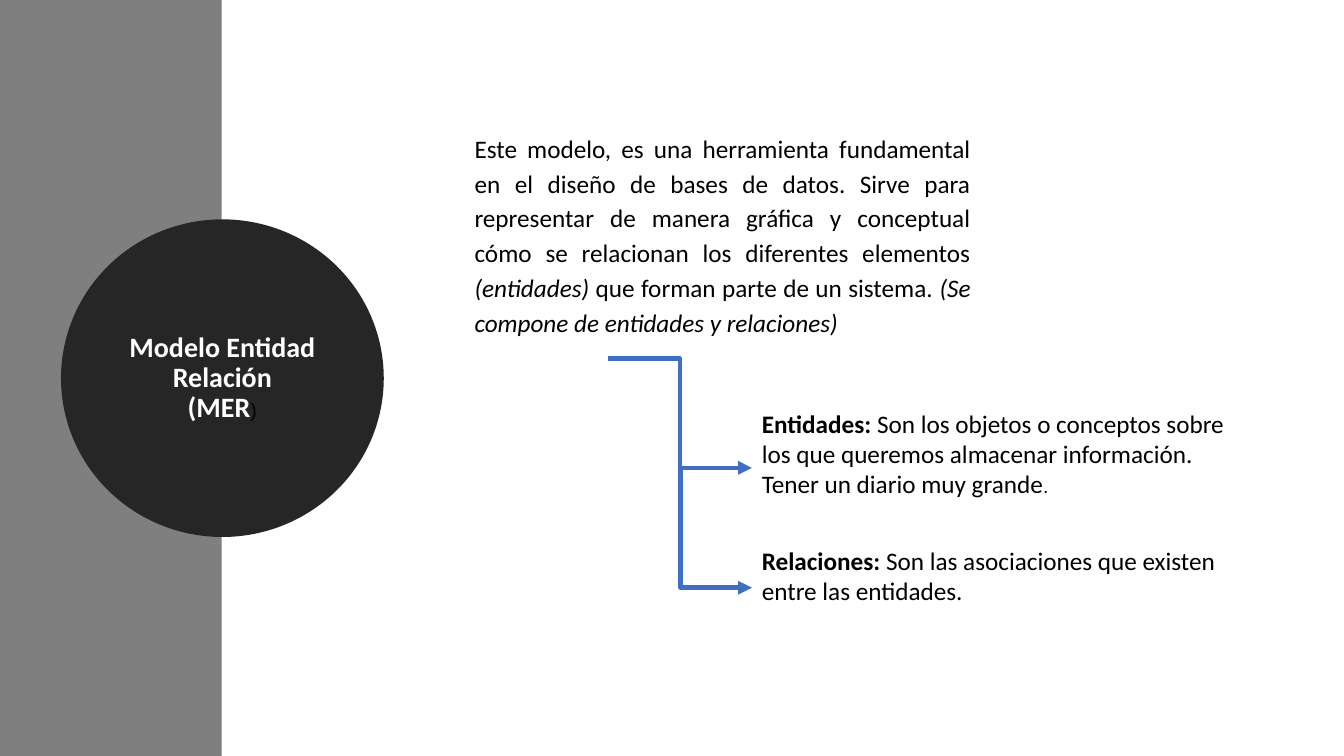
"""Builds the slide on the entity-relationship model."""
from lxml import etree
from pptx import Presentation
from pptx.dml.color import RGBColor
from pptx.enum.shapes import MSO_CONNECTOR, MSO_SHAPE
from pptx.enum.text import MSO_ANCHOR, MSO_AUTO_SIZE, PP_ALIGN
from pptx.oxml.ns import qn
from pptx.util import Cm, Pt

BLACK = RGBColor(0x00, 0x00, 0x00)
WHITE = RGBColor(0xFF, 0xFF, 0xFF)
GRAY = RGBColor(0x7F, 0x7F, 0x7F)
CHARCOAL = RGBColor(0x26, 0x26, 0x26)
BLUE = RGBColor(0x3F, 0x6F, 0xC3)
RECTANGLE, OVAL = MSO_SHAPE.RECTANGLE, MSO_SHAPE.OVAL
ELBOW = MSO_CONNECTOR.ELBOW
LEFT, CENTER, JUSTIFY = PP_ALIGN.LEFT, PP_ALIGN.CENTER, PP_ALIGN.JUSTIFY
MIDDLE = MSO_ANCHOR.MIDDLE
GROW = MSO_AUTO_SIZE.SHAPE_TO_FIT_TEXT


def add_text(paragraph, text, size=18, font="Calibri", color=BLACK, bold=False, italic=False):
    run = paragraph.add_run()
    run.text = text
    run.font.size = Pt(size)
    run.font.name = font
    run.font.color.rgb = color
    run.font.bold = bold
    run.font.italic = italic


def add_text_box(left, top, width, height, alignment=LEFT, right_margin=0.25):
    box = slide.shapes.add_textbox(Cm(left), Cm(top), Cm(width), Cm(height))
    frame = box.text_frame
    frame.word_wrap = True
    frame.auto_size = GROW
    frame.margin_right = Cm(right_margin)
    frame.paragraphs[0].alignment = alignment
    return frame.paragraphs[0]


presentation = Presentation()
presentation.slide_width = Cm(33.87)
presentation.slide_height = Cm(19.05)
slide = presentation.slides.add_slide(presentation.slide_layouts[6])

side_band = slide.shapes.add_shape(RECTANGLE, 0, 0, Cm(5.59), Cm(19.05))
side_band.shadow.inherit = False
side_band.fill.solid()
side_band.fill.fore_color.rgb = GRAY
side_band.line.fill.background()

title_circle = slide.shapes.add_shape(OVAL, Cm(1.78), Cm(5.77), Cm(7.65), Cm(7.52))
title_circle.shadow.inherit = False
title_circle.fill.solid()
title_circle.fill.fore_color.rgb = CHARCOAL
title_circle.line.color.rgb = CHARCOAL
title_circle.line.width = Pt(13.75)
title_frame = title_circle.text_frame
title_frame.word_wrap = True
title_frame.vertical_anchor = MIDDLE
for index, line in enumerate(["Modelo Entidad", "Relación", "(MER"]):
    paragraph = title_frame.add_paragraph() if index else title_frame.paragraphs[0]
    paragraph.alignment = CENTER
    paragraph.line_spacing = 0.9
    add_text(paragraph, line, size=20, color=WHITE, bold=True)
add_text(paragraph, ")", size=14, font="Arial")

introduction = add_text_box(11.71, 3.12, 13, 5.51, alignment=JUSTIFY)
introduction.line_spacing = 1.15
introduction.space_after = Pt(8)
add_text(introduction, "Este modelo, es una herramienta fundamental en el diseño de bases de datos. "
         "Sirve para representar de manera gráfica y conceptual cómo se relacionan "
         "los diferentes elementos ")
add_text(introduction, "(entidades)", italic=True)
add_text(introduction, " que forman parte de un sistema. ")
add_text(introduction, "(Se compone de entidades y relaciones)", italic=True)

entities = add_text_box(18.95, 10.16, 13, 2.57, right_margin=0.8)
add_text(entities, "Entidades:", bold=True)
add_text(entities, " Son los objetos o conceptos sobre los que queremos almacenar información. "
         "Tener un diario muy grande")
add_text(entities, ".", size=14, font="Arial")

relations = add_text_box(18.95, 13.61, 12.45, 2.39)
add_text(relations, "Relaciones:", bold=True)
add_text(relations, " Son las asociaciones que existen entre las entidades.")

entities_arrow = slide.shapes.add_connector(ELBOW, Cm(15.32), Cm(9.04), Cm(18.95), Cm(11.79))
relations_arrow = slide.shapes.add_connector(ELBOW, Cm(19.56), Cm(12.4), Cm(16.54), Cm(14.2))
for arrow in (entities_arrow, relations_arrow):
    arrow.line.color.rgb = BLUE
    arrow.line.width = Pt(3.25)
    properties = arrow._element.spPr
    etree.SubElement(properties.find(qn("a:ln")), qn("a:tailEnd"), type="triangle")
    etree.SubElement(properties, qn("a:effectLst"))
relations_properties = relations_arrow._element.spPr
relations_properties.find(qn("a:xfrm")).set("rot", "16200000")
relations_properties.find(qn("a:prstGeom")).set("prst", "bentConnector2")

presentation.save("out.pptx")
